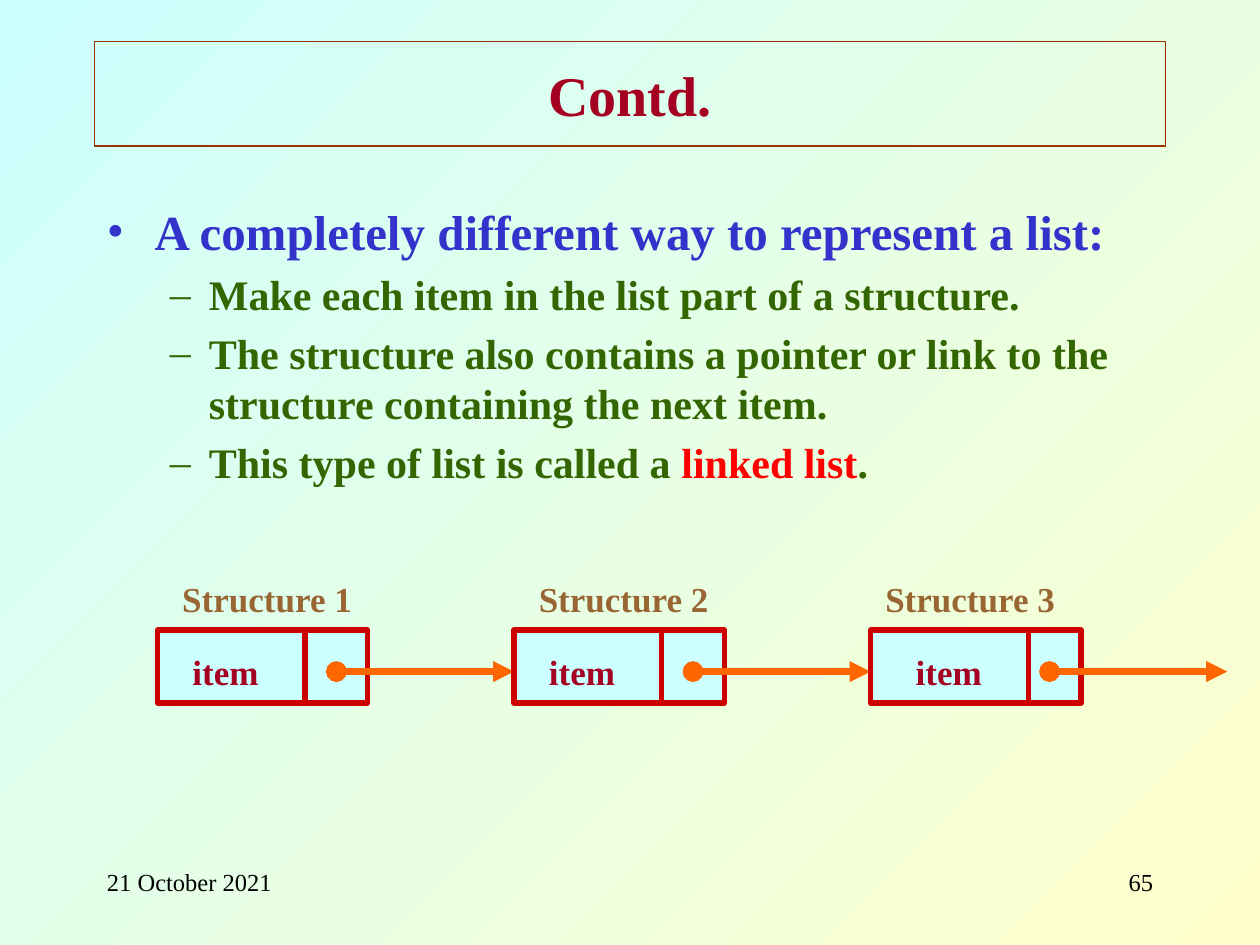
from lxml.etree import SubElement
from pptx import Presentation
from pptx.dml.color import RGBColor
from pptx.enum.shapes import MSO_CONNECTOR, MSO_SHAPE
from pptx.enum.text import MSO_ANCHOR, PP_ALIGN
from pptx.oxml.ns import qn
from pptx.util import Inches, Pt

# Content
TITLE = "Contd."
DATE = "21 October 2021"
PAGE = "65"
# Each paragraph: level, then (text, colour) runs
BODY = [
    (0, [("A completely different way to represent a list:", "blue")]),
    (1, [("Make each item in the list part of a structure.", "green")]),
    (1, [("The structure also contains a pointer or link to the "
          "structure containing the next item.", "green")]),
    (1, [("This type of list is called a ", "green"),
         ("linked list", "red"), (".", "green")]),
]
# Label, then offsets from the node's left edge: label, item text, divider
NODES = [
    ("Structure 1", -0.17, 0, 1.17),
    ("Structure 2", -0.17, 0, 1.17),
    ("Structure 3", -0.25, 0.08, 1.25),
]

# Style
FONT = "Times New Roman"
COLORS = {
    "cyan": "CCFFFF", "cream": "FFFFCC", "black": "000000",
    "brown": "993300", "crimson": "A50021", "blue": "3333CC",
    "green": "336600", "red": "FF0000", "border": "CC0000",
    "arrow": "FF6600", "label": "996633",
}
# Per level: bullet, left margin, hanging indent, size, space before
LEVELS = [("•", 0.38, 0.38, 28, 0), ("–", 0.81, 0.31, 24, 4.8)]

# Node geometry in inches
NODE_LEFT, NODE_TOP, NODE_STEP = 1.25, 5, 2.83
NODE_WIDTH, NODE_HEIGHT = 1.67, 0.58
ARROW_START, ARROW_LENGTH, ARROW_TOP = 1.42, 1.41, 5.33


def color(name):
    return RGBColor.from_string(COLORS[name])


def style_font(font, size, color_name, bold=True):
    font.name = FONT
    font.size = Pt(size)
    font.bold = bold
    font.color.rgb = color(color_name)


def add_text(shapes, text, box, size, color_name, align, bold=True, inset=0.05):
    shape = shapes.add_textbox(*map(Inches, box))
    frame = shape.text_frame
    frame.word_wrap = True
    frame.margin_top = Inches(inset)
    frame.text = text
    paragraph = frame.paragraphs[0]
    paragraph.alignment = align
    style_font(paragraph.runs[0].font, size, color_name, bold)


def add_line(shapes, start, end, color_name, width, arrow=False):
    line = shapes.add_connector(MSO_CONNECTOR.STRAIGHT,
                                *map(Inches, (*start, *end)))
    line.line.color.rgb = color(color_name)
    line.line.width = Pt(width)
    properties = line._element.spPr
    if arrow:
        outline = properties.find(qn("a:ln"))
        SubElement(outline, qn("a:headEnd"), type="oval")
        SubElement(outline, qn("a:tailEnd"), type="triangle")
    SubElement(properties, qn("a:effectLst"))


def add_body(slide):
    shape = slide.shapes.add_textbox(*map(Inches, (0.75, 1.5, 8.5, 5.17)))
    frame = shape.text_frame
    frame.word_wrap = True
    frame.margin_top = Inches(0.1)
    for index, (level, runs) in enumerate(BODY):
        bullet, margin, hanging, size, space = LEVELS[level]
        paragraph = frame.add_paragraph() if index else frame.paragraphs[0]
        paragraph.level = level
        paragraph.space_before = Pt(space)
        properties = paragraph._p.get_or_add_pPr()
        properties.set("marL", str(Inches(margin)))
        properties.set("indent", str(-Inches(hanging)))
        SubElement(properties, qn("a:buFont"), typeface=FONT)
        SubElement(properties, qn("a:buChar"), char=bullet)
        for text, color_name in runs:
            run = paragraph.add_run()
            run.text = text
            style_font(run.font, size, color_name)


def add_node(slide, left, label, label_offset, item_offset, divider_offset):
    shapes = slide.shapes.add_group_shape().shapes
    box = shapes.add_shape(MSO_SHAPE.RECTANGLE, *map(
        Inches, (left, NODE_TOP, NODE_WIDTH, NODE_HEIGHT)))
    box.shadow.inherit = False
    box.fill.solid()
    box.fill.fore_color.rgb = color("cyan")
    box.line.color.rgb = color("border")
    box.line.width = Pt(3)

    start = left + ARROW_START
    add_line(shapes, (start, ARROW_TOP), (start + ARROW_LENGTH, ARROW_TOP),
             "arrow", 4, arrow=True)
    add_text(shapes, label, (left + label_offset, 4.5, 2.08, 0.43),
             20, "label", PP_ALIGN.CENTER, inset=0.08)
    add_text(shapes, "item", (left + item_offset, 5.08, 1.08, 0.43),
             20, "crimson", PP_ALIGN.CENTER, inset=0.08)
    divider = left + divider_offset
    add_line(shapes, (divider, NODE_TOP), (divider, NODE_TOP + NODE_HEIGHT),
             "border", 3)


def main():
    presentation = Presentation()
    presentation.slide_width = Inches(10)
    presentation.slide_height = Inches(7.5)
    slide = presentation.slides.add_slide(presentation.slide_layouts[5])

    # Diagonal background
    fill = slide.background.fill
    fill.gradient()
    fill.gradient_angle = 315
    for stop, name in zip(fill.gradient_stops, ("cyan", "cream")):
        stop.color.rgb = color(name)

    # Date and page number
    add_text(slide.shapes, DATE, (0.75, 6.83, 2.08, 0.5),
             14, "black", PP_ALIGN.LEFT, bold=False)
    add_text(slide.shapes, PAGE, (7.17, 6.83, 2.08, 0.5),
             14, "black", PP_ALIGN.RIGHT, bold=False)

    # Title
    title = slide.shapes.title
    title.left, title.top, title.width, title.height = map(
        Inches, (0.75, 0.33, 8.5, 0.83))
    title.line.color.rgb = color("brown")
    title.line.width = Pt(0.75)
    title.text_frame.text = TITLE
    title.text_frame.vertical_anchor = MSO_ANCHOR.MIDDLE
    paragraph = title.text_frame.paragraphs[0]
    paragraph.alignment = PP_ALIGN.CENTER
    style_font(paragraph.runs[0].font, 32, "crimson")

    # Bullets and linked list
    add_body(slide)
    for index, node in enumerate(NODES):
        add_node(slide, NODE_LEFT + index * NODE_STEP, *node)

    presentation.save("out.pptx")


if __name__ == "__main__":
    main()
